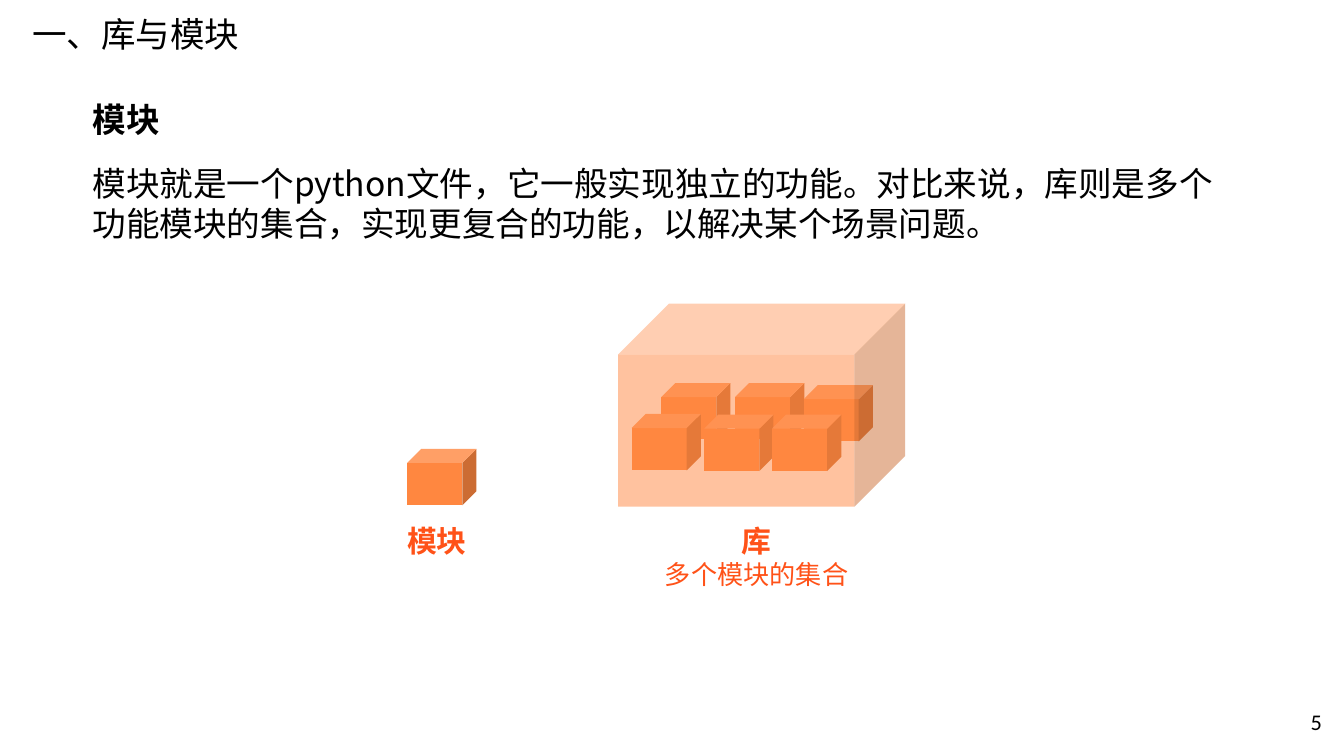
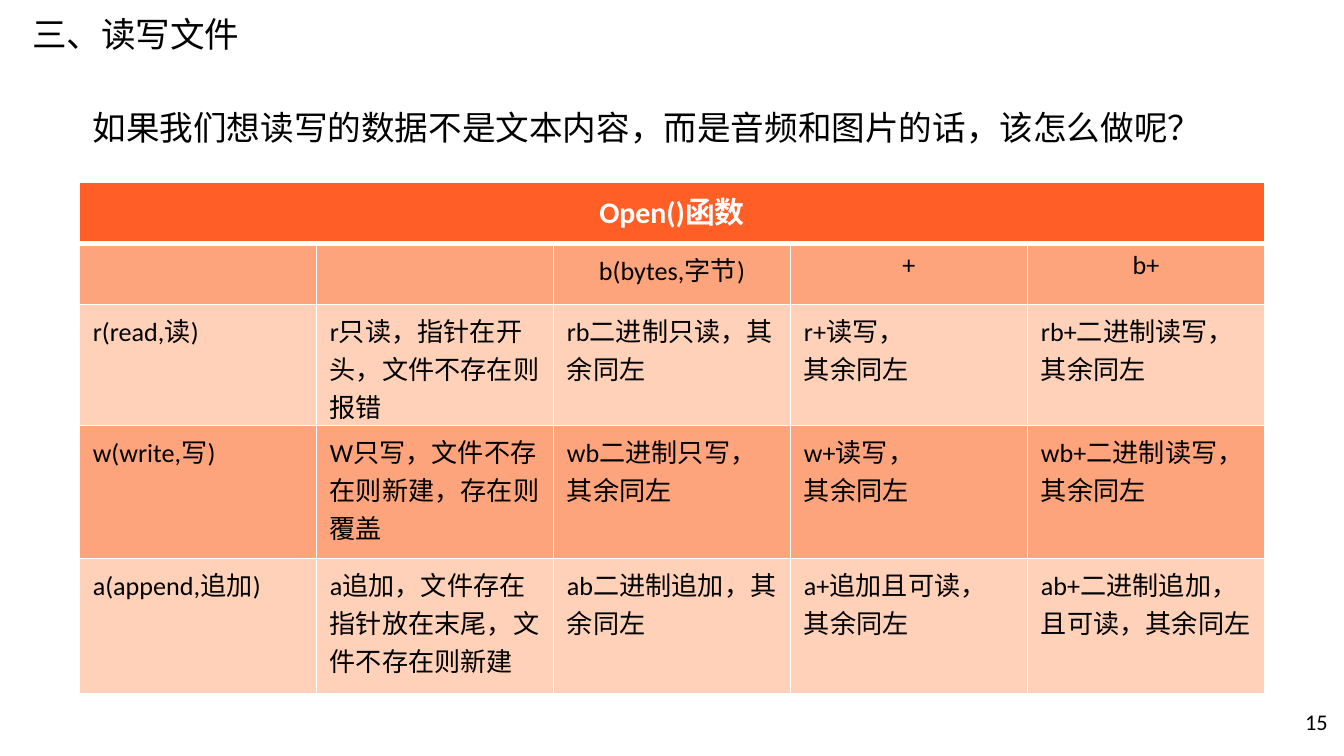
import pptx
import pptx.dml.color
import pptx.enum.shapes
import pptx.enum.text
import pptx.oxml
import pptx.oxml.ns
import pptx.util

PX = 4572
BLACK, WHITE = "000000", "FFFFFF"
CUBE, CAPTION = "FF8740", "FF5218"
HEADER, BAND_DARK, BAND_LIGHT = "FF5F27", "FDA47C", "FED1B8"
CJK, LATIN = "Noto Sans CJK SC", "Calibri"
CENTER = pptx.enum.text.PP_ALIGN.CENTER
LEFT = pptx.enum.text.PP_ALIGN.LEFT
MIDDLE = pptx.enum.text.MSO_ANCHOR.MIDDLE
NAMESPACE = pptx.oxml.ns.nsdecls("a")


def px(length):
    return pptx.util.Emu(length * PX)


def color(hex_text):
    return pptx.dml.color.RGBColor.from_string(hex_text)


def apply(target, values):
    for name, value in values.items():
        setattr(target, name, value)


class Deck:
    def __init__(self):
        self.presentation = pptx.Presentation()
        apply(self.presentation, {"slide_width": px(2000), "slide_height": px(1125)})
        self.slide = None

    def add_slide(self, title, number):
        layout = self.presentation.slide_layouts[6]
        self.slide = self.presentation.slides.add_slide(layout)
        self.text(1896, 1044, 126, 60, [(str(number), 12, False)],
                  font=LATIN, align=CENTER, anchor=MIDDLE)
        heading = self.text(28, 14, 1422, 72, [(title, 18.5, False)], anchor=MIDDLE)
        properties = heading.text_frame.paragraphs[0]._p.get_or_add_pPr()
        properties.set("marL", str(px(76)))
        properties.set("indent", str(-px(76)))

    def run(self, paragraph, text, size, bold, hex_text, font):
        run = paragraph.add_run()
        run.text = text
        apply(run.font, {"size": pptx.util.Pt(size), "bold": bold, "name": font})
        run.font.color.rgb = color(hex_text)
        run._r.get_or_add_rPr().append(
            pptx.oxml.parse_xml(f'<a:ea {NAMESPACE} typeface="{CJK}"/>'))

    def text(self, left, top, width, height, runs, hex_text=BLACK, font=CJK,
             align=LEFT, anchor=pptx.enum.text.MSO_ANCHOR.TOP, wrap=True):
        box = self.slide.shapes.add_textbox(px(left), px(top), px(width), px(height))
        apply(box.text_frame, {"word_wrap": wrap, "vertical_anchor": anchor})
        paragraph = box.text_frame.paragraphs[0]
        paragraph.alignment = align
        for index, (text, size, bold) in enumerate(runs):
            if index:
                paragraph.add_line_break()
            self.run(paragraph, text, size, bold, hex_text, font)
        return box

    def cube(self, left, top, width=103, height=84, opacity=100):
        shape = self.slide.shapes.add_shape(
            pptx.enum.shapes.MSO_SHAPE.CUBE, px(left), px(top), px(width), px(height))
        shape.shadow.inherit = False
        shape.line.fill.background()
        shape.fill.solid()
        shape.fill.fore_color.rgb = color(CUBE)
        if opacity < 100:
            fill = shape._element.spPr.find(pptx.oxml.ns.qn("a:solidFill"))
            fill[0].append(pptx.oxml.parse_xml(
                f'<a:alpha {NAMESPACE} val="{opacity * 1000}"/>'))

    def cell(self, cell, text, fill, align, size=14, bold=False,
             hex_text=BLACK, bottom=1):
        cell.margin_bottom = 0
        cell.fill.solid()
        cell.fill.fore_color.rgb = color(fill)
        borders = {"lnL": 1, "lnR": 1, "lnT": 1, "lnB": bottom}
        for index, (side, points) in enumerate(borders.items()):
            cell._tc.get_or_add_tcPr().insert(index, pptx.oxml.parse_xml(
                f'<a:{side} {NAMESPACE} w="{pptx.util.Pt(points)}"><a:solidFill>'
                f'<a:srgbClr val="{WHITE}"/></a:solidFill></a:{side}>'))
        if not text:
            return
        for index, line in enumerate(text.split("\n")):
            frame = cell.text_frame
            paragraph = frame.add_paragraph() if index else frame.paragraphs[0]
            paragraph.alignment = align
            self.run(paragraph, line, size, bold, hex_text, LATIN)

    def table(self, left, top, width, heights, header, rows):
        columns = len(rows[0])
        table = self.slide.shapes.add_table(
            len(heights), columns, px(left), px(top), px(width), px(sum(heights))).table
        apply(table, {"first_row": False, "horz_banding": False})
        for column in table.columns:
            column.width = px(width) // columns
        for row, height in zip(table.rows, heights):
            row.height = px(height)
        for index in range(columns):
            self.cell(table.cell(0, index), "" if index else header, HEADER, CENTER,
                      size=16, bold=True, hex_text=WHITE, bottom=3)
        table.cell(0, 0).merge(table.cell(0, columns - 1))
        for row_index, row in enumerate(rows, 1):
            fill = BAND_DARK if row_index % 2 else BAND_LIGHT
            align = CENTER if row_index == 1 else LEFT
            for index, text in enumerate(row):
                self.cell(table.cell(row_index, index), text, fill, align)


def module_slide(deck):
    deck.add_slide("一、库与模块", 5)
    deck.text(118, 138, 1654, 80, [("模块", 18, True)])
    deck.text(118, 232, 1748, 142, [(
        "模块就是一个python文件，它一般实现独立的功能。对比来说，"
        "库则是多个功能模块的集合，实现更复合的功能，以解决某个场景问题。", 18, False)])
    deck.cube(606, 668)
    back_row = [(984, 570), (1094, 570), (1196, 573)]
    front_row = [(940, 616), (1048, 617), (1149, 617)]
    for back, front in zip(back_row, front_row):
        deck.cube(*back)
        deck.cube(*front)
    deck.cube(920, 452, 427, 302, opacity=50)
    deck.text(586, 768, 130, 74, [("模块", 16, True)], CAPTION, wrap=False)
    deck.text(968, 768, 316, 122, [("库", 16, True), ("多个模块的集合", 14, False)],
              CAPTION, align=CENTER, wrap=False)


def file_slide(deck):
    deck.add_slide("三、读写文件", 15)
    deck.text(118, 150, 1654, 80, [
        ("如果我们想读写的数据不是文本内容，而是音频和图片的话，该怎么做呢？", 18, False)])
    deck.table(118, 271, 1764, [91, 91, 180, 198, 201], "Open()函数", [
        ["", "", "b(bytes,字节)", "+", "b+"],
        ["r(read,读)", "r只读，指针在开头，文件不存在则报错",
         "rb二进制只读，其余同左", "r+读写，\n其余同左", "rb+二进制读写，\n其余同左"],
        ["w(write,写)", "W只写，文件不存在则新建，存在则覆盖",
         "wb二进制只写，其余同左", "w+读写，\n其余同左", "wb+二进制读写，\n其余同左"],
        ["a(append,追加)", "a追加，文件存在指针放在末尾，文件不存在则新建",
         "ab二进制追加，其余同左", "a+追加且可读，\n其余同左",
         "ab+二进制追加，\n且可读，其余同左"],
    ])


def main():
    deck = Deck()
    module_slide(deck)
    file_slide(deck)
    deck.presentation.save("out.pptx")


if __name__ == "__main__":
    main()
